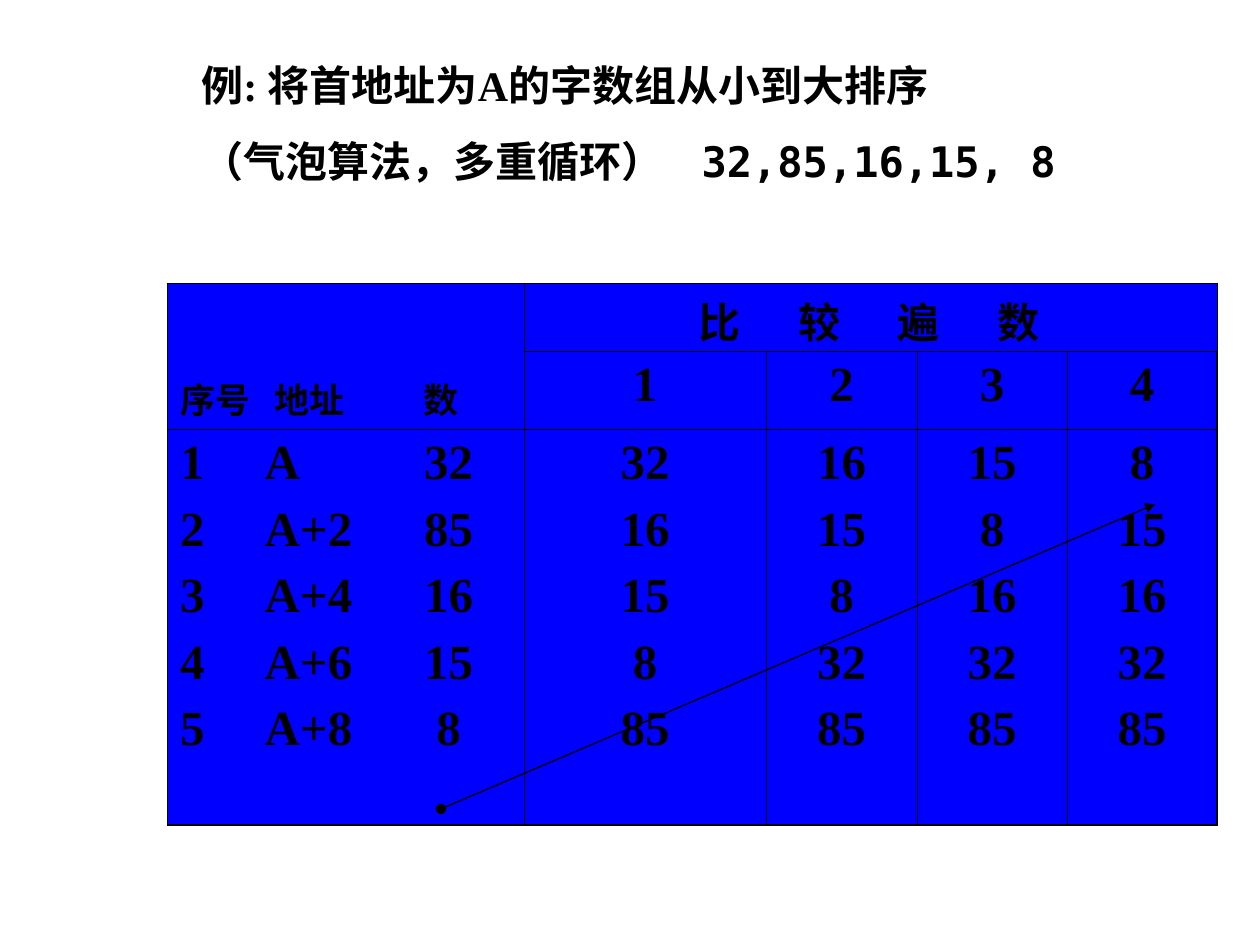
from lxml import etree
from pptx import Presentation, util as u
from pptx.dml.color import RGBColor
from pptx.enum import shapes, text
from pptx.oxml import ns

BLACK = RGBColor(0x00, 0x00, 0x00)
BLUE = RGBColor(0x00, 0x00, 0xFF)
WHITE = RGBColor(0xFF, 0xFF, 0xFF)
THIN, THICK = 0.45, 1.08
LEFT, CENTER = text.PP_ALIGN.LEFT, text.PP_ALIGN.CENTER

COLUMN_WIDTHS = [2.83, 1.92, 1.2, 1.19, 1.19]
ROW_HEIGHTS = [0.54, 0.62, 3.14]
HEADING_TABS = [(1.45 + 0.79 * index, "ctr") for index in range(4)]
NUMBERS = [32, 85, 16, 15, 8]
PASSES = [
    [32, 16, 15, 8, 85],
    [16, 15, 8, 32, 85],
    [15, 8, 16, 32, 85],
    [8, 15, 16, 32, 85],
]


def add_element(parent, tag, **attributes):
    return etree.SubElement(parent, ns.qn(tag), attributes)


class SlideBuilder:
    font_name = "Times New Roman"
    mono_font = "DejaVu Sans Mono"

    def __init__(self, slide):
        self.slide = slide

    def fill_text(self, frame, lines, size, align=LEFT, space=0, tabs=()):
        """Fill a text frame; tabs holds (inches, alignment) pairs."""
        frame.text = "\n".join(lines)
        for index, paragraph in enumerate(frame.paragraphs):
            paragraph.alignment = align
            if index:
                paragraph.space_before = u.Pt(space)
            if tabs:
                tab_list = add_element(paragraph._p.get_or_add_pPr(), "a:tabLst")
                for position, kind in tabs:
                    add_element(tab_list, "a:tab", pos=str(u.Inches(position)), algn=kind)
            for run in paragraph.runs:
                self.style(run, size)

    def style(self, run, size):
        run.font.name = self.font_name
        run.font.size = u.Pt(size)
        run.font.bold = True
        run.font.color.rgb = BLACK

    def title(self, left, top, width, height, lines, numbers):
        box = self.slide.shapes.add_textbox(
            u.Inches(left), u.Inches(top), u.Inches(width), u.Inches(height))
        frame = box.text_frame
        frame.word_wrap = True
        self.fill_text(frame, lines, 24, text.PP_ALIGN.JUSTIFY, 15, [(3.97, "l")])
        run = frame.paragraphs[-1].add_run()
        run.text = numbers
        self.style(run, 24)
        run.font.name = self.mono_font

    def table(self, left, top, widths, heights):
        """Add a blue grid whose outer edge is thicker than its inner lines."""
        table = self.slide.shapes.add_table(
            len(heights), len(widths), u.Inches(left), u.Inches(top),
            u.Inches(sum(widths)), u.Inches(sum(heights))).table
        table.first_row = table.horz_banding = False
        for column, width in zip(table.columns, widths):
            column.width = u.Inches(width)
        for row, height in zip(table.rows, heights):
            row.height = u.Inches(height)
        for row in range(len(heights)):
            for column in range(len(widths)):
                cell = table.cell(row, column)
                self.border(cell, {
                    "L": column == 0, "R": column == len(widths) - 1,
                    "T": row == 0, "B": row == len(heights) - 1})
                cell.fill.solid()
                cell.fill.fore_color.rgb = BLUE
        return table

    def border(self, cell, outer_sides):
        properties = cell._tc.get_or_add_tcPr()
        for side, outer in outer_sides.items():
            width = u.Pt(THICK if outer else THIN)
            line = add_element(properties, f"a:ln{side}", w=str(width))
            fill = add_element(line, "a:solidFill")
            add_element(fill, "a:srgbClr", val=str(BLACK))

    def arrow(self, start, end):
        points = [u.Inches(value) for value in (*start, *end)]
        connector = self.slide.shapes.add_connector(shapes.MSO_CONNECTOR.STRAIGHT, *points)
        connector.line.color.rgb = BLACK
        connector.line.width = u.Pt(0.75)
        line = connector.line._get_or_add_ln()
        add_element(line, "a:headEnd", type="oval")
        add_element(line, "a:tailEnd", type="triangle")
        add_element(connector._element.spPr, "a:effectLst")


def fill_sorting_table(builder, table):
    corner, heading = table.cell(0, 0), table.cell(0, 1)
    corner.merge(table.cell(1, 0))
    heading.merge(table.cell(0, 4))
    corner.vertical_anchor = text.MSO_ANCHOR.BOTTOM
    builder.fill_text(corner.text_frame, ["序号\t地址\t数"], 20,
                      tabs=[(0.75, "l"), (2.07, "ctr")])
    builder.fill_text(heading.text_frame, ["\t比\t较\t遍\t数"], 24, tabs=HEADING_TABS)

    addresses = ["A"] + [f"A+{2 * index}" for index in range(1, len(NUMBERS))]
    rows = [f"{index}\t{address}\t{number}" for index, (address, number)
            in enumerate(zip(addresses, NUMBERS), start=1)]
    builder.fill_text(table.cell(2, 0).text_frame, rows, 28, space=7,
                      tabs=[(0.67, "l"), (2.13, "ctr")])

    for column, values in enumerate(PASSES, start=1):
        builder.fill_text(table.cell(1, column).text_frame, [str(column)], 28, CENTER)
        builder.fill_text(table.cell(2, column).text_frame, map(str, values), 28, CENTER, 7)


def main():
    presentation = Presentation()
    presentation.slide_width, presentation.slide_height = u.Inches(10), u.Inches(7.5)
    slide = presentation.slides.add_slide(presentation.slide_layouts[6])
    slide.background.fill.solid()
    slide.background.fill.fore_color.rgb = WHITE

    builder = SlideBuilder(slide)
    builder.title(1.5, 0.42, 7.75, 1.51,
                  ["例: 将首地址为A的字数组从小到大排序", "（气泡算法，多重循环）\t"],
                  "32,85,16,15, 8")
    table = builder.table(1.33, 2.25, COLUMN_WIDTHS, ROW_HEIGHTS)
    fill_sorting_table(builder, table)
    builder.arrow((3.5, 6.42), (9.17, 4))
    presentation.save("out.pptx")


if __name__ == "__main__":
    main()
